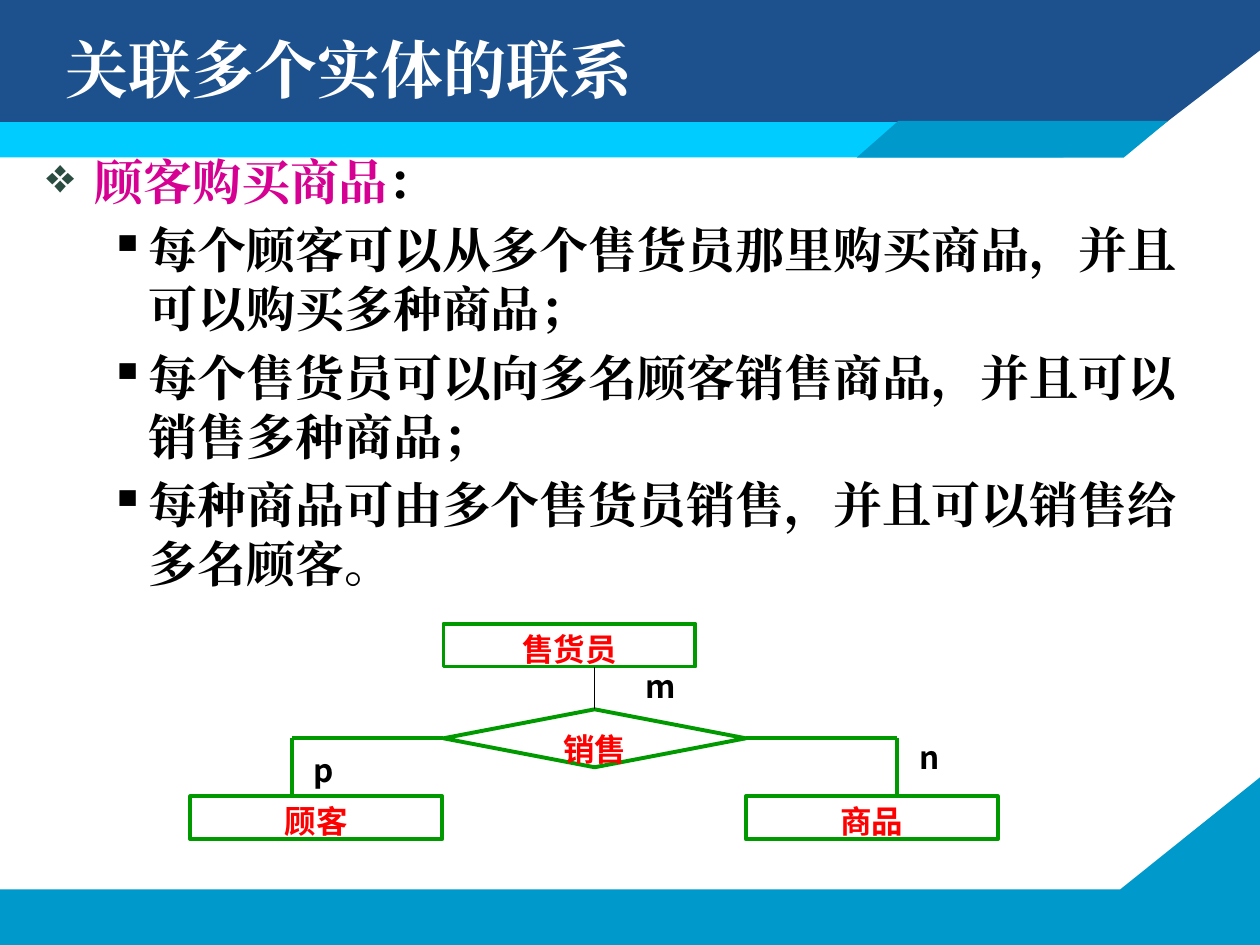
from dataclasses import dataclass

from lxml import etree
from pptx import Presentation
from pptx.dml.color import RGBColor
from pptx.enum.shapes import MSO_CONNECTOR, MSO_SHAPE
from pptx.enum.text import MSO_ANCHOR, PP_ALIGN
from pptx.oxml.ns import qn
from pptx.util import Inches, Pt

RECTANGLE, DIAMOND = MSO_SHAPE.RECTANGLE, MSO_SHAPE.DIAMOND
STRAIGHT = MSO_CONNECTOR.STRAIGHT
TOP, MIDDLE = MSO_ANCHOR.TOP, MSO_ANCHOR.MIDDLE
LEFT, CENTER, JUSTIFY = PP_ALIGN.LEFT, PP_ALIGN.CENTER, PP_ALIGN.JUSTIFY
SIDE_TOP, SIDE_LEFT, SIDE_BOTTOM, SIDE_RIGHT = range(4)


@dataclass(frozen=True)
class Theme:
    navy: str = "1D518D"
    blue: str = "0099CB"
    cyan: str = "00CCFF"
    white: str = "FFFFFF"
    black: str = "000000"
    magenta: str = "D60093"
    bullet: str = "2A4C41"
    green: str = "009900"
    red: str = "FF0000"
    text_font: str = "Times New Roman"
    diagram_font: str = "Noto Sans CJK SC"
    title_size: int = 36
    body_size: int = 28
    diagram_size: int = 18


THEME = Theme()


def add_text(para, text, *, size, color, font):
    """Append one bold span to a paragraph."""
    span = para.add_run()
    span.text = text
    span.font.size = Pt(size)
    span.font.bold = True
    span.font.name = font
    span.font.color.rgb = RGBColor.from_string(color)
    east_asian = etree.SubElement(span.font._element, qn("a:ea"))
    east_asian.set("typeface", font)


def add_bullet(para, mark, color, margin, indent):
    properties = para._p.get_or_add_pPr()
    properties.set("marL", str(Inches(margin)))
    properties.set("indent", str(Inches(indent)))
    bullet_color = etree.SubElement(properties, qn("a:buClr"))
    etree.SubElement(bullet_color, qn("a:srgbClr")).set("val", color)
    etree.SubElement(properties, qn("a:buChar")).set("char", mark)


class SlideBuilder:
    def __init__(self, slide, theme):
        self.slide = slide
        self.theme = theme

    def paint(self, shape, fill, line=None):
        shape.shadow.inherit = False
        shape.fill.solid()
        shape.fill.fore_color.rgb = RGBColor.from_string(fill)
        if line:
            shape.line.color.rgb = RGBColor.from_string(line)
            shape.line.width = Pt(2.25)
        else:
            shape.line.fill.background()

    def band(self, *points):
        corners = [(Inches(x), Inches(y)) for x, y in points]
        outline = self.slide.shapes.build_freeform(*corners[0])
        outline.add_line_segments(corners[1:], close=True)
        self.paint(outline.convert_to_shape(), fill=color_of(points, self.theme))

    def polygon(self, points, fill):
        corners = [(Inches(x), Inches(y)) for x, y in points]
        outline = self.slide.shapes.build_freeform(*corners[0])
        outline.add_line_segments(corners[1:], close=True)
        self.paint(outline.convert_to_shape(), fill)

    def shape(self, kind, left, top, width, height, fill, line=None):
        shape = self.slide.shapes.add_shape(
            kind, Inches(left), Inches(top), Inches(width), Inches(height))
        self.paint(shape, fill, line)
        return shape

    def text_frame(self, left, top, width, height, anchor=TOP):
        box = self.slide.shapes.add_textbox(
            Inches(left), Inches(top), Inches(width), Inches(height))
        box.text_frame.word_wrap = True
        box.text_frame.vertical_anchor = anchor
        return box.text_frame

    def caption(self, shape, text, color, align):
        frame = shape.text_frame
        frame.vertical_anchor = TOP
        para = frame.paragraphs[0]
        para.alignment = align
        add_text(para, text, size=self.theme.diagram_size, color=color,
                 font=self.theme.diagram_font)

    def node(self, kind, text, left, top, width, height):
        node = self.shape(kind, left, top, width, height,
                          self.theme.white, self.theme.green)
        self.caption(node, text, self.theme.red, CENTER)
        return node

    def cardinality(self, text, left, top):
        label = self.shape(RECTANGLE, left, top, 0.62, 0.25, self.theme.white)
        frame = label.text_frame
        frame.margin_left = frame.margin_right = 0
        frame.margin_top = frame.margin_bottom = 0
        self.caption(label, text, self.theme.black, JUSTIFY)

    def line(self, start, end, color, width):
        line = self.slide.shapes.add_connector(
            STRAIGHT, *(Inches(value) for value in (*start, *end)))
        line.line.color.rgb = RGBColor.from_string(color)
        line.line.width = Pt(width)
        etree.SubElement(line._element.spPr, qn("a:effectLst"))
        return line


def draw_background(page):
    theme = page.theme
    page.polygon([(0, 7.06), (8.89, 7.06), (10, 6.17), (10, 7.5), (0, 7.5)], theme.blue)
    page.polygon([(0, 0), (10, 0), (10, 0.4), (8.92, 1.23), (0, 1.24)], theme.navy)
    page.shape(RECTANGLE, 0, 0.97, 8.44, 0.28, theme.cyan)
    page.polygon([(6.8, 1.25), (8.92, 1.25), (9.27, 0.96), (7.13, 0.96)], theme.blue)


def draw_text(page):
    theme = page.theme
    title = page.text_frame(0.42, 0.17, 7.42, 0.75, MIDDLE)
    add_text(title.paragraphs[0], "关联多个实体的联系", size=theme.title_size,
             color=theme.white, font=theme.text_font)

    body = page.text_frame(0.27, 1.15, 9.42, 3.62)
    style = {"size": theme.body_size, "font": theme.text_font}
    heading = body.paragraphs[0]
    add_bullet(heading, "❖", theme.bullet, 0.38, -0.38)
    add_text(heading, "顾客购买商品", color=theme.magenta, **style)
    add_text(heading, "：", color=theme.black, **style)
    for rule in (
        "每个顾客可以从多个售货员那里购买商品，并且可以购买多种商品；",
        "每个售货员可以向多名顾客销售商品，并且可以销售多种商品；",
        "每种商品可由多个售货员销售，并且可以销售给多名顾客。",
    ):
        para = body.add_paragraph()
        para.level = 1
        add_bullet(para, "▪", theme.black, 0.81, -0.31)
        para.space_before = Pt(0.2 * theme.body_size)
        add_text(para, rule, color=theme.black, **style)


def draw_diagram(page):
    theme = page.theme
    # Cardinalities
    for text, left, top in (("m", 5.12, 5.29), ("n", 7.3, 5.86), ("p", 2.49, 5.96)):
        page.cardinality(text, left, top)

    # Entities and their relationship
    for text, left, top in (("顾客", 1.51, 6.32), ("商品", 5.92, 6.32), ("售货员", 3.52, 4.95)):
        page.node(RECTANGLE, text, left, top, 2, 0.34)
    sale = page.node(DIAMOND, "销售", 3.52, 5.63, 2.4, 0.46)

    # Elbows from the diamond down to the lower entities
    for side, edge, corner in ((SIDE_LEFT, 3.52, 2.32), (SIDE_RIGHT, 5.92, 7.12)):
        arm = page.line((edge, 5.86), (corner, 5.86), theme.green, 2.25)
        arm.begin_connect(sale, side)
        page.line((corner, 5.86), (corner, 6.32), theme.green, 2.25)
    stem = page.line((4.72, 5.63), (4.72, 5.29), theme.black, 0.75)
    stem.begin_connect(sale, SIDE_TOP)


def main():
    deck = Presentation()
    deck.slide_width, deck.slide_height = Inches(10), Inches(7.5)
    page = SlideBuilder(deck.slides.add_slide(deck.slide_layouts[6]), THEME)
    draw_background(page)
    draw_text(page)
    draw_diagram(page)
    deck.save("out.pptx")


if __name__ == "__main__":
    main()
